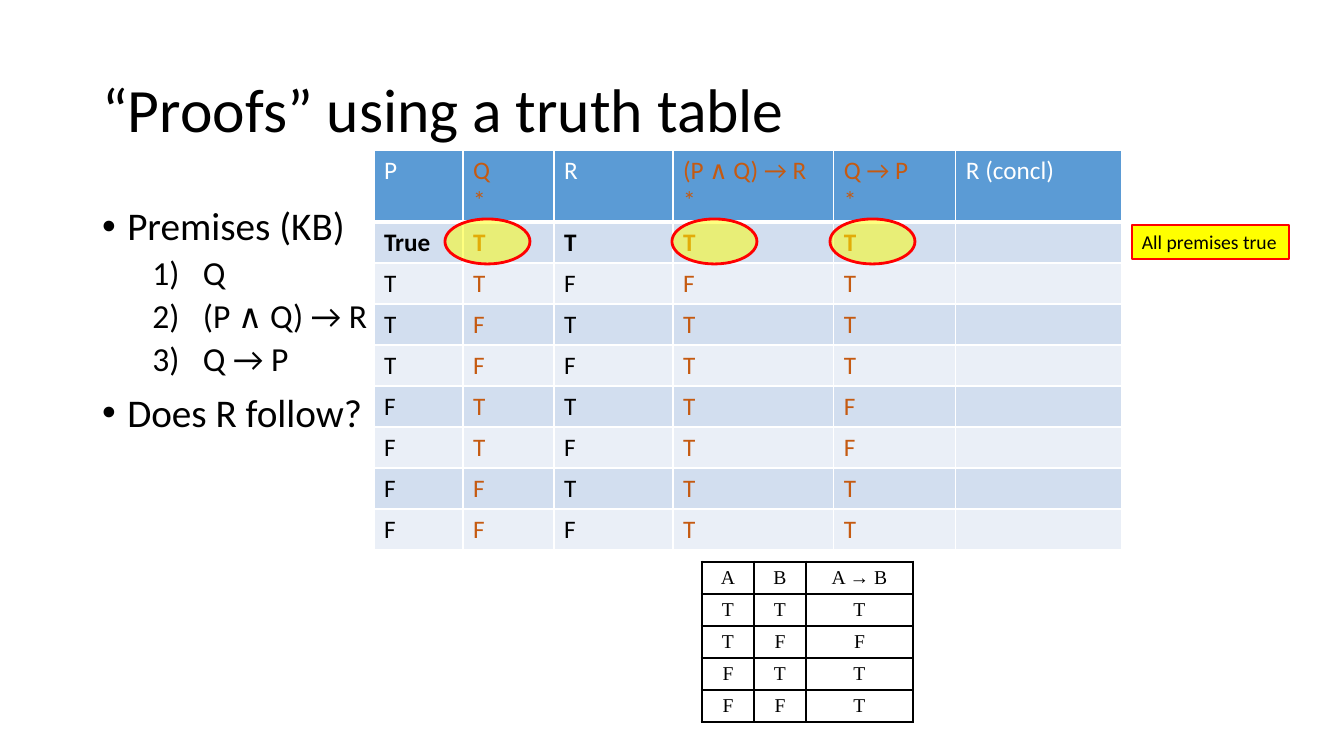
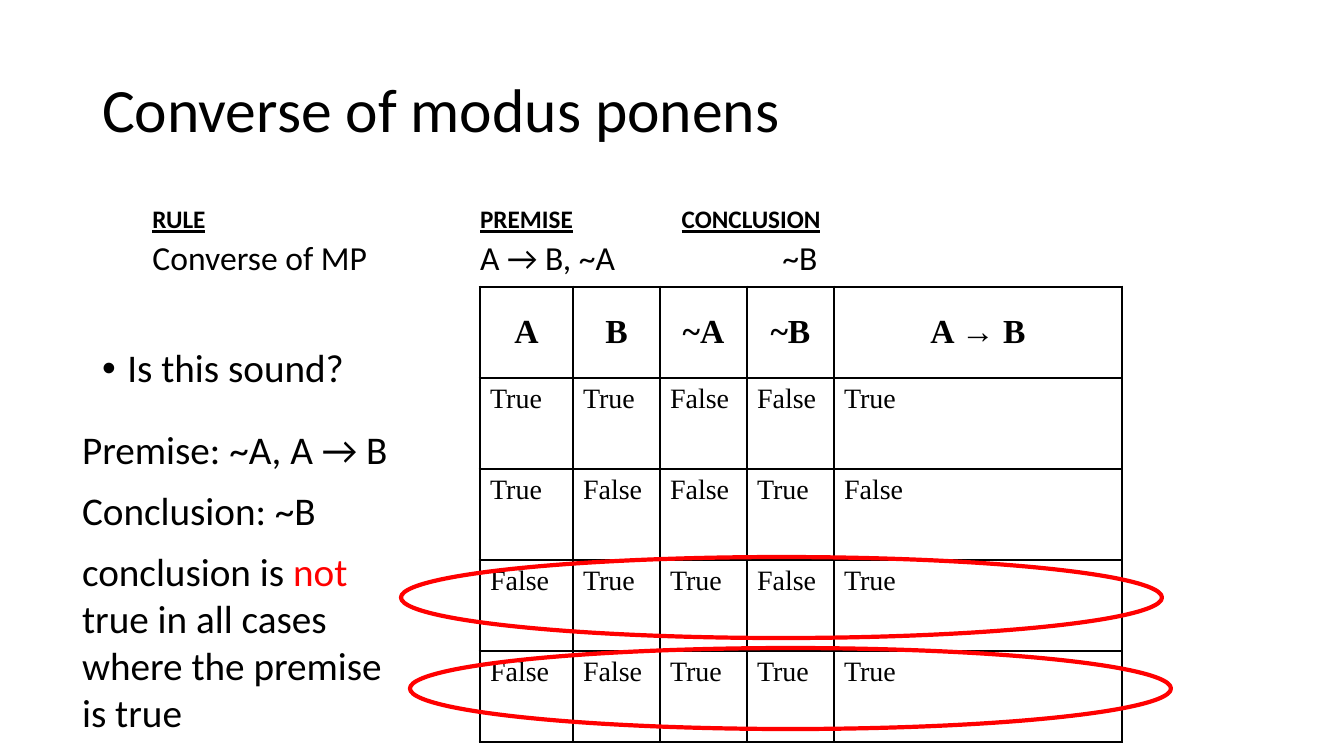
from lxml.etree import SubElement
from pptx import Presentation
from pptx.dml.color import RGBColor
from pptx.enum.shapes import MSO_SHAPE
from pptx.enum.text import MSO_ANCHOR, MSO_AUTO_SIZE, PP_ALIGN
from pptx.oxml.ns import qn
from pptx.util import Emu, Inches, Pt

COLORS = {
    "black": "000000", "white": "FFFFFF", "red": "FF0000", "yellow": "FFFF00",
    "premise": "C55A11", "header": "5B9BD5", "band": "D2DEEF", "light": "EAEFF7",
}
SANS, SERIF = "Calibri", "Times New Roman"

# Content
PROOF_TITLE = "“Proofs” using a truth table"
PREMISES = ["Q", "(P ∧ Q) → R ", "Q → P "]
PROOF_HEADER = ["P", "Q\n*", "R", "(P ∧ Q) → R \n*", "Q → P \n*", "R (concl)"]
PROOF_ROWS = [
    ["True", "T", "T", "T", "T", ""],
    ["T", "T", "F", "F", "T", ""],
    ["T", "F", "T", "T", "T", ""],
    ["T", "F", "F", "T", "T", ""],
    ["F", "T", "T", "T", "F", ""],
    ["F", "T", "F", "T", "F", ""],
    ["F", "F", "T", "T", "T", ""],
    ["F", "F", "F", "T", "T", ""],
]
PREMISE_COLUMNS = (1, 3, 4)
PREMISE_MARKS = [445, 672, 830]
IMPLICATION = [
    ["A", "B", "A → B"],
    ["T", "T", "T"],
    ["T", "F", "F"],
    ["F", "T", "T"],
    ["F", "F", "T"],
]

CONVERSE_TITLE = "Converse of modus ponens"
RULE_HEADING = [
    ("RULE", {"bold": True, "underline": True}),
    ("\t\t\t", {"underline": True}),
    ("PREMISE\t\tCONCLUSION", {"bold": True, "underline": True}),
]
RULE = "Converse of MP\t\tA → B, ~A\t\t~B"
CONVERSE_TABLE = [
    ["A", "B", "~A", "~B", "A → B"],
    ["True", "True", "False", "False", "True"],
    ["True", "False", "False", "True", "False"],
    ["False", "True", "True", "False", "True"],
    ["False", "False", "True", "True", "True"],
]
VERDICT = [
    "Premise: ~A, A → B ",
    "Conclusion: ~B",
    [("conclusion is ", {}), ("not", {"color": "red"}),
     (" true in all cases where the premise is true", {})],
]


def px(length):
    """Turn pixels into EMU."""
    return Emu(round(length * 914400 / 100.8))


def rgb(name):
    """Look up a named colour."""
    return RGBColor.from_string(COLORS[name])


def write(frame, text, size=18, font=SANS, color="black", bold=False, underline=False,
          align=PP_ALIGN.LEFT, level=0, spacing=None, before=0, indent=None, bullet=None):
    """Add one paragraph; text is a string or a list of (text, format) runs."""
    paragraph = frame.add_paragraph() if frame.text else frame.paragraphs[0]
    paragraph.alignment, paragraph.level = align, level
    paragraph.space_before = Pt(before)
    if spacing:
        paragraph.line_spacing = spacing
    properties = paragraph._p.get_or_add_pPr()
    if indent:
        margin, first = indent
        properties.set("marL", str(Inches(margin)))
        properties.set("indent", str(Inches(first)))
        properties.set("defTabSz", str(Inches(1)))
        if bullet == "number":
            SubElement(properties, qn("a:buFont"), typeface=SANS)
            SubElement(properties, qn("a:buAutoNum"), type="arabicParenR")
        elif bullet:
            SubElement(properties, qn("a:buChar"), char=bullet)
        else:
            SubElement(properties, qn("a:buNone"))
    for words, changes in [(text, {})] if isinstance(text, str) else text:
        run = paragraph.add_run()
        run.text = words
        run.font.size, run.font.name = Pt(size), font
        run.font.bold = changes.get("bold", bold)
        run.font.underline = changes.get("underline", underline)
        run.font.color.rgb = rgb(changes.get("color", color))


def write_point(frame, text):
    """Add a first-level bullet."""
    write(frame, text, size=28, spacing=0.9, before=10, indent=(0.25, -0.25), bullet="•")


def prepare_layout(layout):
    """Place the title and body that all slides inherit."""
    title, body = layout.placeholders[0], layout.placeholders[1]
    for holder, (left, top, width, height) in (
            (title, (92, 40, 1159, 146)), (body, (92, 202, 1159, 480))):
        holder.left, holder.top = px(left), px(top)
        holder.width, holder.height = px(width), px(height)


def start_slide(deck, title):
    """Add a titled slide and return it with its body text frame."""
    slide = deck.slides.add_slide(deck.slide_layouts[1])
    heading = slide.shapes.title.text_frame
    body = slide.placeholders[1].text_frame
    for frame in (heading, body):
        frame.auto_size = MSO_AUTO_SIZE.NONE
    write(heading, title, size=44, spacing=0.9)
    return slide, body


def add_mark(slide, kind, box, width, fill=None, alpha=None):
    """Add a red-edged shape, optionally filled and see-through."""
    mark = slide.shapes.add_shape(kind, *map(px, box))
    mark.shadow.inherit = False
    mark.line.color.rgb, mark.line.width = rgb("red"), Pt(width)
    if fill:
        mark.fill.solid()
        mark.fill.fore_color.rgb = rgb(fill)
    else:
        mark.fill.background()
    if alpha:
        tint = mark._element.spPr.find(qn("a:solidFill")).find(qn("a:srgbClr"))
        SubElement(tint, qn("a:alpha"), val=str(alpha * 1000))
    return mark


def set_borders(cell, color, widths):
    """Draw the left, right, top and bottom cell borders."""
    properties = cell._tc.get_or_add_tcPr()
    for side, width in zip("LRTB", widths):
        line = SubElement(properties, qn("a:ln" + side), w=str(Pt(width)))
        SubElement(SubElement(line, qn("a:solidFill")), qn("a:srgbClr"), val=COLORS[color])


def add_grid(slide, rows, left, top, widths, heights, style):
    """Add a table; style(row, column) gives its borders, fill, anchor and text format."""
    table = slide.shapes.add_table(len(rows), len(widths), px(left), px(top),
                                   px(sum(widths)), px(sum(heights))).table
    table.first_row = table.horz_banding = False
    for column, width in zip(table.columns, widths):
        column.width = px(width)
    for r, (values, height) in enumerate(zip(rows, heights)):
        table.rows[r].height = px(height)
        for c, value in enumerate(values):
            cell = table.cell(r, c)
            line_color, line_widths, fill, anchor, text_format = style(r, c)
            set_borders(cell, line_color, line_widths)
            if fill:
                cell.fill.solid()
                cell.fill.fore_color.rgb = rgb(fill)
            else:
                cell.fill.background()
            cell.vertical_anchor = anchor
            for line in value.splitlines():
                write(cell.text_frame, line, **text_format)


def proof_style(r, c):
    """Style the banded truth table."""
    plain = "black" if r else "white"
    fill = ("light", "band")[r % 2] if r else "header"
    text_format = {"color": "premise" if c in PREMISE_COLUMNS else plain, "bold": r == 1}
    edges = (1, 1, 1 if r != 1 else 3, 1 if r else 3)
    return "white", edges, fill, MSO_ANCHOR.TOP, text_format


def ruled_style(last, header, cells):
    """Return the style of a black-ruled table with a heavy left, top and bottom."""
    def style(r, c):
        """Style one ruled cell."""
        edges = (1 if c else 2.25, 1, 1 if r else 2.25, 2.25 if r == last else 1)
        anchor = MSO_ANCHOR.TOP if r else MSO_ANCHOR.MIDDLE
        return "black", edges, None, anchor, {"font": SERIF, **(cells if r else header)}
    return style


def build_proof(deck):
    """Build the slide with the proof by truth table."""
    slide, body = start_slide(deck, PROOF_TITLE)
    write_point(body, "Premises (KB)")
    for premise in PREMISES:
        write(body, premise, size=24, level=1, spacing=0.9, before=5,
              indent=(1, -0.5), bullet="number")
    write_point(body, "Does R follow?")
    add_grid(slide, [PROOF_HEADER] + PROOF_ROWS, 374, 150, [89, 91, 119, 161, 122, 166],
             [72] + [41] * len(PROOF_ROWS), proof_style)
    small = {"size": 14, "align": PP_ALIGN.CENTER}
    add_grid(slide, IMPLICATION, 702, 562, [52, 52, 107], [32] * len(IMPLICATION),
             ruled_style(len(IMPLICATION) - 1, small, small))
    for left in PREMISE_MARKS:
        add_mark(slide, MSO_SHAPE.OVAL, (left, 219, 85, 45), 2, "yellow", alpha=50)
    callout = add_mark(slide, MSO_SHAPE.RECTANGLE, (1132, 225, 157, 34), 1.5, "yellow")
    callout.text_frame.word_wrap = False
    callout.text_frame.vertical_anchor = MSO_ANCHOR.TOP
    callout.text_frame.auto_size = MSO_AUTO_SIZE.SHAPE_TO_FIT_TEXT
    write(callout.text_frame, "All premises true", size=14)


def build_converse(deck):
    """Build the slide on the converse of modus ponens."""
    slide, body = start_slide(deck, CONVERSE_TITLE)
    for text, size in ((RULE_HEADING, 18), (RULE, 24)):
        write(body, text, size=size, level=1, spacing=0.9, before=5, indent=(0.75, -0.25))
    write(body, "Is this sound? ", size=28, spacing=0.9, before=51,
          indent=(0.25, -0.25), bullet="•")
    add_grid(slide, CONVERSE_TABLE, 480, 287, [93, 87, 87, 87, 288],
             [91] * len(CONVERSE_TABLE),
             ruled_style(len(CONVERSE_TABLE) - 1,
                         {"size": 24, "bold": True, "align": PP_ALIGN.CENTER}, {"size": 20}))
    add_mark(slide, MSO_SHAPE.OVAL, (401, 557, 761, 81), 3)
    verdict = slide.shapes.add_textbox(*map(px, (47, 420, 372, 324))).text_frame
    verdict.word_wrap = True
    verdict.auto_size = MSO_AUTO_SIZE.SHAPE_TO_FIT_TEXT
    for statement in VERDICT:
        write(verdict, statement, size=28, level=1, before=10, indent=(0.25, 0))
    add_mark(slide, MSO_SHAPE.OVAL, (410, 648, 761, 81), 3)


deck = Presentation()
deck.slide_width, deck.slide_height = px(1344), px(756)
prepare_layout(deck.slide_layouts[1])
build_proof(deck)
build_converse(deck)
deck.save("out.pptx")
